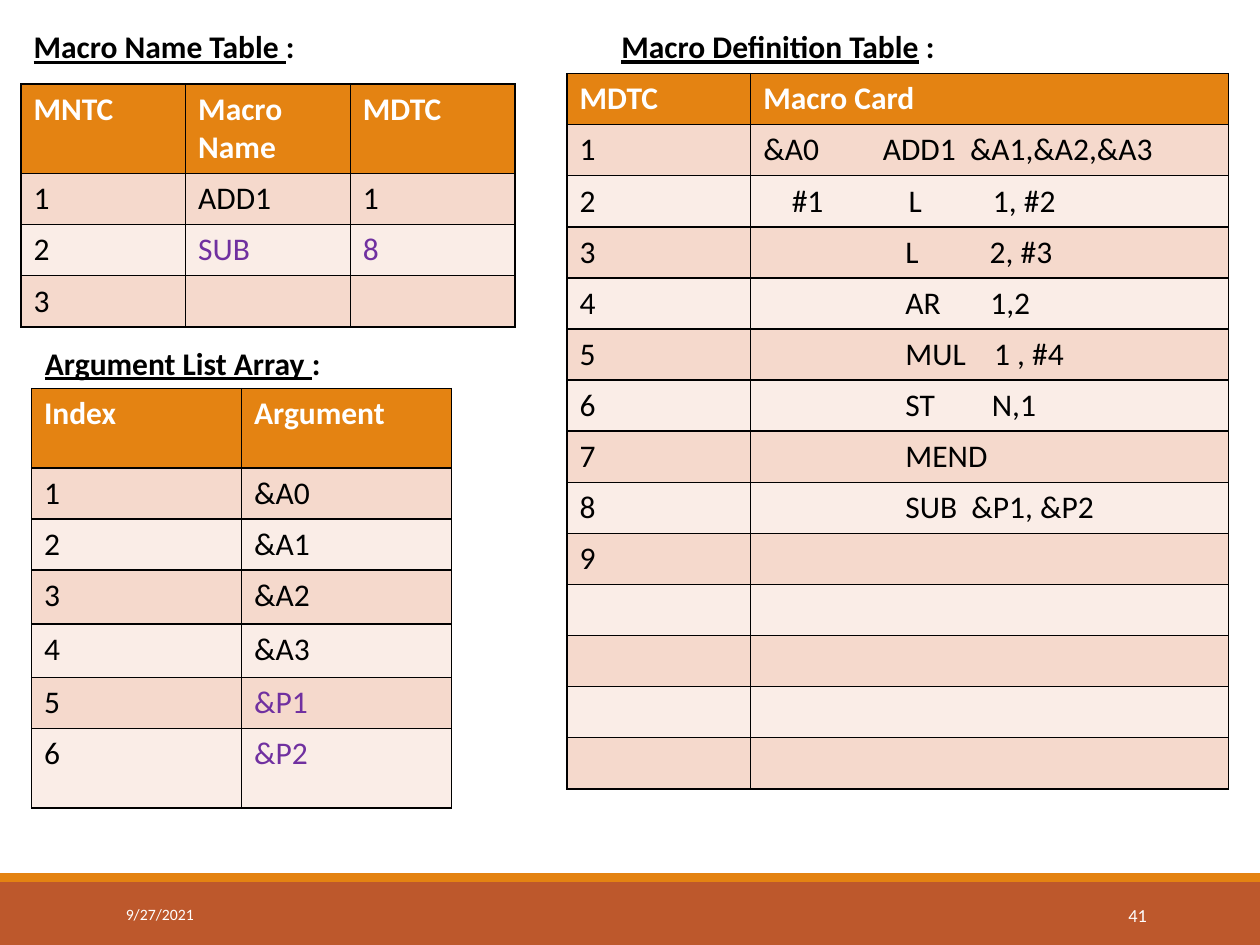
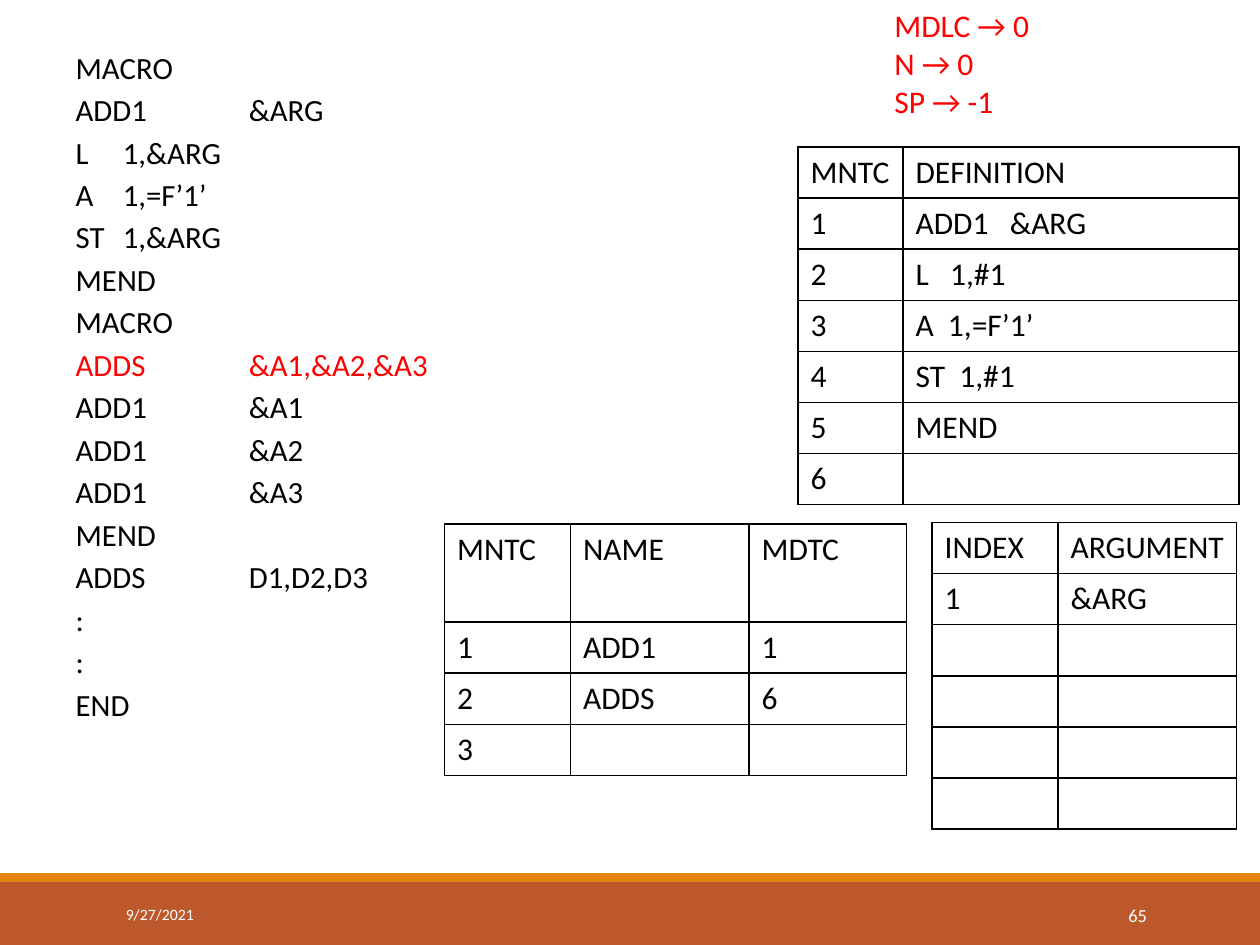
"""Builds two slides of macro processor tables with python-pptx."""
from dataclasses import dataclass

from lxml.etree import SubElement
from pptx import Presentation
from pptx.dml.color import RGBColor as Rgb
from pptx.enum.shapes import MSO_SHAPE as Kind
from pptx.enum.text import MSO_ANCHOR as Anchor, MSO_AUTO_SIZE as Auto, PP_ALIGN as Align
from pptx.oxml.ns import qn
from pptx.util import Pt

FONT = "Calibri"
HUES = {
    "text": "000000", "light": "FFFFFF", "line": "000000", "head": "E48312",
    "odd": "F5D9CC", "even": "FAEDE7", "base": "BD582C", "strip": "E48312",
    "mark": "7030A0", "alert": "FF0000",
}


@dataclass(frozen=True)
class Box:
    left: float
    top: float
    width: float
    height: float


@dataclass(frozen=True)
class Grid:
    left: float
    top: float
    cols: tuple[float, ...]
    rows: tuple[float, ...]
    cells: tuple[tuple[str, ...], ...]
    tinted: bool = False
    marks: tuple[tuple[int, int], ...] = ()


@dataclass(frozen=True)
class Band:
    box: Box
    hue: str


@dataclass(frozen=True)
class Head:
    box: Box
    text: str
    tail: str


BANDS = (
    Band(Box(0, 504, 720, 36), "base"),
    Band(Box(0, 499, 720, 5), "strip"),
)
DATE = Box(64.8, 508.3, 146.2, 28.8)
PAGE = Box(584.6, 508.3, 77.8, 28.8)

NAMES = Head(Box(12, 12, 318, 29), "Macro Name Table ", ":")
HEADS = (
    Head(Box(348, 12, 318, 29), "Macro Definition Table", " :"),
    Head(Box(18.6, 193, 318, 29), "Argument List Array ", ":"),
)

MACROS = (
    Grid(12, 48, (94.1,) * 3, (50.9,) + (29.2,) * 3, (
        ("MNTC", "Macro Name", "MDTC"),
        ("1", "ADD1", "1"),
        ("2", "SUB", "8"),
        ("3",),
    ), True, ((2, 1), (2, 2))),
    Grid(324, 42, (105, 273), (29.2,) * 14, (
        ("MDTC", "Macro Card"),
        ("1", "&A0         ADD1  &A1,&A2,&A3"),
        ("2", "    #1            L          1, #2"),
        ("3", "                    L          2, #3"),
        ("4", "                    AR       1,2"),
        ("5", "                    MUL    1 , #4"),
        ("6", "                    ST        N,1"),
        ("7", "                    MEND"),
        ("8", "                    SUB  &P1, &P2"),
        ("9",),
    ), True),
    Grid(18, 222, (120, 120), (45.4, 29, 29, 30.7, 30.7, 29, 45.4), (
        ("Index", "Argument"),
        ("1", "&A0"),
        ("2", "&A1"),
        ("3", "&A2"),
        ("4", "&A3"),
        ("5", "&P1"),
        ("6", "&P2"),
    ), True, ((5, 1), (6, 1))),
)

STEPS = (
    Grid(532.6, 298.6, (72, 102), (28.8,) * 6, (
        ("INDEX", "ARGUMENT"),
        ("1", "&ARG"),
    )),
    Grid(254, 299.5, (72, 102, 90), (56,) + (28.8,) * 3, (
        ("MNTC", "NAME", "MDTC"),
        ("1", "ADD1", "1"),
        ("2", "ADDS", "6"),
        ("3",),
    )),
    Grid(456, 84, (60, 192), (28.8,) * 7, (
        ("MNTC", "DEFINITION"),
        ("1", "ADD1   &ARG"),
        ("2", "L   1,#1"),
        ("3", "A  1,=F’1’"),
        ("4", "ST  1,#1"),
        ("5", "MEND"),
        ("6",),
    )),
)

CODE = (
    "MACRO", "ADD1\t&ARG", "L\t1,&ARG", "A\t1,=F’1’", "ST\t1,&ARG", "MEND",
    "MACRO", "ADDS\t&A1,&A2,&A3", "ADD1\t&A1", "ADD1\t&A2", "ADD1\t&A3",
    "MEND", "ADDS\tD1,D2,D3", ":", ":", "END",
)
CODE_BOX = Box(36, 24, 228, 356)
ALERT = CODE.index("ADDS\t&A1,&A2,&A3")
START = ("MDLC → 0", "N → 0", "SP → -1")
START_BOX = Box(504, 0, 216, 73)


def tint(name: str) -> Rgb:
    return Rgb.from_string(HUES[name])


def place(shape, box: Box) -> None:
    shape.left, shape.top = Pt(box.left), Pt(box.top)
    shape.width, shape.height = Pt(box.width), Pt(box.height)


def style(para, size: float = 18, hue: str = "text", bold: bool = False) -> None:
    font = para.font
    font.name, font.size, font.bold = FONT, Pt(size), bold
    font.color.rgb = tint(hue)


def frame(shape, anchor=Anchor.TOP):
    text = shape.text_frame
    text.word_wrap, text.auto_size = True, Auto.NONE
    text.vertical_anchor = anchor
    return text


def label(slide, box: Box, anchor=Anchor.TOP):
    shape = slide.shapes.add_textbox(0, 0, 0, 0)
    place(shape, box)
    return frame(shape, anchor)


def add_head(text, head: Head) -> None:
    para = text.paragraphs[0]
    para.alignment = Align.LEFT
    style(para, bold=True)
    for part, under in ((head.text, True), (head.tail, False)):
        run = para.add_run()
        run.text, run.font.underline = part, under


def add_edges(cell) -> None:
    props = cell._tc.get_or_add_tcPr()
    for side in ("lnL", "lnR", "lnT", "lnB"):
        line = SubElement(props, qn(f"a:{side}"), w=str(Pt(1)))
        fill = SubElement(line, qn("a:solidFill"))
        SubElement(fill, qn("a:srgbClr"), val=HUES["line"])


def fill_cell(cell, grid: Grid, row: int, col: int) -> None:
    add_edges(cell)
    head = grid.tinted and row == 0
    if grid.tinted:
        cell.fill.solid()
        cell.fill.fore_color.rgb = tint("head" if head else "odd" if row % 2 else "even")
    else:
        cell.fill.background()
    words = grid.cells[row] if row < len(grid.cells) else ()
    if col < len(words):
        cell.text = words[col]
    hue = "light" if head else "mark" if (row, col) in grid.marks else "text"
    style(cell.text_frame.paragraphs[0], hue=hue, bold=head)


def add_grid(slide, grid: Grid) -> None:
    table = slide.shapes.add_table(
        len(grid.rows), len(grid.cols), Pt(grid.left), Pt(grid.top),
        Pt(sum(grid.cols)), Pt(sum(grid.rows))).table
    table.first_row = table.horz_banding = False
    for col, width in enumerate(grid.cols):
        table.columns[col].width = Pt(width)
    for row, height in enumerate(grid.rows):
        table.rows[row].height = Pt(height)
        for col in range(len(grid.cols)):
            fill_cell(table.cell(row, col), grid, row, col)


def add_base(slide, page: str) -> None:
    for band in BANDS:
        shape = slide.shapes.add_shape(Kind.RECTANGLE, 0, 0, 0, 0)
        place(shape, band.box)
        shape.shadow.inherit = False
        shape.fill.solid()
        shape.fill.fore_color.rgb = tint(band.hue)
        shape.line.fill.background()
    notes = ((DATE, "9/27/2021", 9, Align.LEFT), (PAGE, page, 10.5, Align.RIGHT))
    for box, words, size, align in notes:
        para = label(slide, box, Anchor.MIDDLE).paragraphs[0]
        para.text, para.alignment = words, align
        style(para, size, "light")


def add_code(shape) -> None:
    place(shape, CODE_BOX)
    text = frame(shape)
    text.text = "\n".join(CODE)
    for i, para in enumerate(text.paragraphs):
        props = para._p.get_or_add_pPr()
        for key, size in (("marL", 27), ("indent", -27), ("defTabSz", 72)):
            props.set(key, str(Pt(size)))
        para.space_before = Pt(3.15 if i else 0)
        SubElement(props, qn("a:buNone"))
        style(para, 17.6, "alert" if i == ALERT else "text")


def build_macros(deck) -> None:
    slide = deck.slides.add_slide(deck.slide_layouts[5])
    add_base(slide, "41")
    title = slide.shapes.title
    place(title, NAMES.box)
    add_head(frame(title), NAMES)
    for head in HEADS:
        add_head(label(slide, head.box), head)
    for grid in MACROS:
        add_grid(slide, grid)


def build_steps(deck) -> None:
    slide = deck.slides.add_slide(deck.slide_layouts[1])
    add_base(slide, "65")
    title = slide.shapes.title.element
    title.getparent().remove(title)
    add_code(slide.placeholders[1])
    text = label(slide, START_BOX)
    text.text = "\n".join(START)
    for para in text.paragraphs:
        style(para, hue="alert")
    for grid in STEPS:
        add_grid(slide, grid)


def main() -> None:
    deck = Presentation()
    deck.slide_width, deck.slide_height = Pt(720), Pt(540)
    build_macros(deck)
    build_steps(deck)
    deck.save("out.pptx")


if __name__ == "__main__":
    main()
